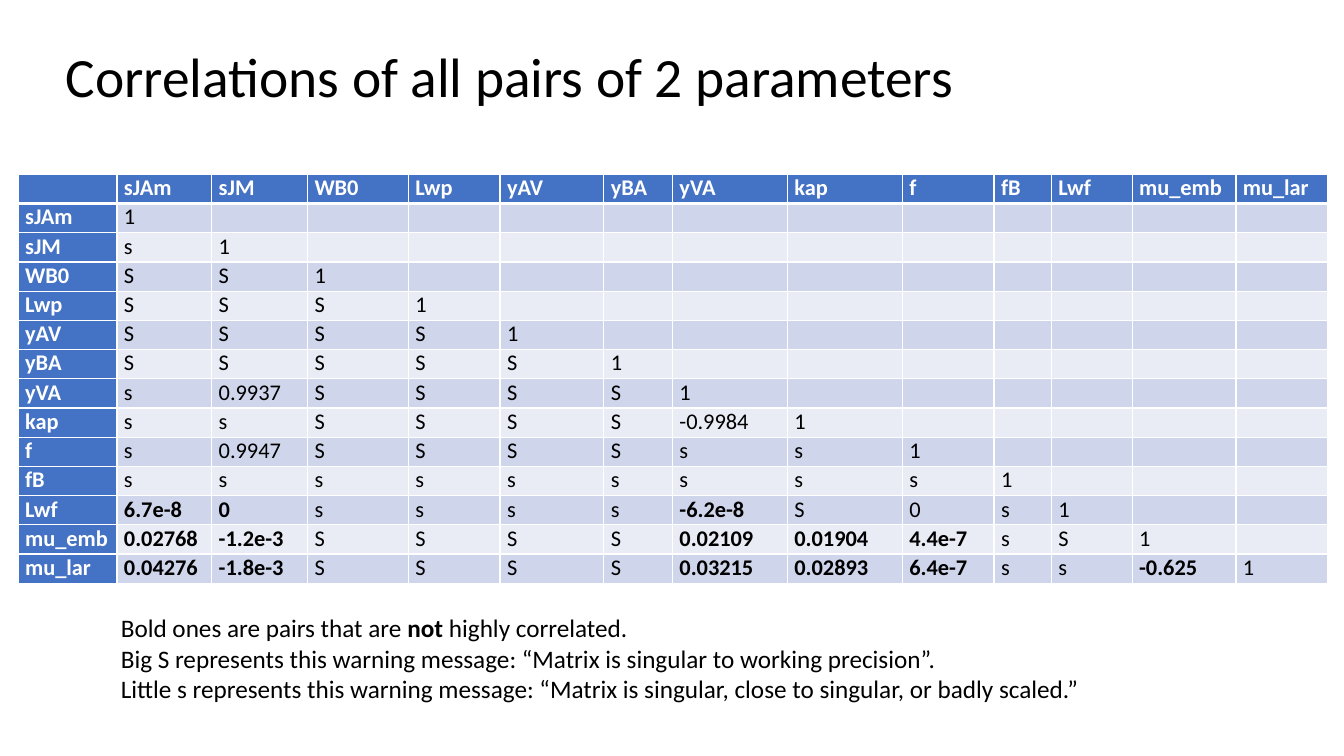
"""Build a slide with the correlation table of all parameter pairs."""
from lxml.etree import SubElement
from pptx import Presentation
from pptx.dml.color import RGBColor
from pptx.enum.text import MSO_ANCHOR, MSO_AUTO_SIZE, PP_ALIGN
from pptx.oxml.ns import qn
from pptx.util import Emu, Pt

EMU_PER_PX = 9144
FONT = "Calibri"
COLORS = {"text": "000000", "light": "FFFFFF", "header": "4472C4",
          "odd": "CFD5EA", "even": "E9EBF5"}
PARAMETERS = ["sJAm", "sJM", "WB0", "Lwp", "yAV", "yBA", "yVA", "kap",
              "f", "fB", "Lwf", "mu_emb", "mu_lar"]
COLUMN_WIDTHS = [98, 94, 95, 100, 91, 103, 68, 114, 114, 91, 57, 80, 103, 91]
ROW_HEIGHT = 29
BOLD_MARK = "*"
CORRELATIONS = [
    "1",
    "s 1",
    "S S 1",
    "S S S 1",
    "S S S S 1",
    "S S S S S 1",
    "s 0.9937 S S S S 1",
    "s s S S S S -0.9984 1",
    "s 0.9947 S S S S s s 1",
    "s s s s s s s s s 1",
    "*6.7e-8 *0 s s s s *-6.2e-8 S 0 s 1",
    "*0.02768 *-1.2e-3 S S S S *0.02109 *0.01904 *4.4e-7 s S 1",
    "*0.04276 *-1.8e-3 S S S S *0.03215 *0.02893 *6.4e-7 s s *-0.625 1",
]
NOTES = [
    [("Bold ones are pairs that are ", False), ("not ", True),
     ("highly correlated.", False)],
    [("Big S represents this warning message: "
      "“Matrix is singular to working precision”.", False)],
    [("Little s represents this warning message: "
      "“Matrix is singular, close to singular, or badly scaled.”", False)],
]


def px(length):
    return Emu(length * EMU_PER_PX)


def set_attributes(target, **values):
    for name, value in values.items():
        setattr(target, name, value)


def place(shape, left, top, width, height):
    set_attributes(shape, left=px(left), top=px(top),
                   width=px(width), height=px(height))


def add_span(para, text, size, color="text", bold=False):
    span = para.add_run()
    span.text = text
    set_attributes(span.font, name=FONT, size=Pt(size), bold=bold)
    span.font.color.rgb = RGBColor.from_string(COLORS[color])


def add_title(page, text):
    title = page.shapes.title
    place(title, 55, 49, 1150, 59)
    set_attributes(title.text_frame, word_wrap=True,
                   auto_size=MSO_AUTO_SIZE.NONE,
                   vertical_anchor=MSO_ANCHOR.MIDDLE)
    para = title.text_frame.paragraphs[0]
    set_attributes(para, alignment=PP_ALIGN.LEFT, line_spacing=0.9)
    add_span(para, text, 39.6)


def add_borders(cell, top, bottom):
    properties = cell._tc.get_or_add_tcPr()
    for side, width in (("L", 1), ("R", 1), ("T", top), ("B", bottom)):
        line = SubElement(properties, qn(f"a:ln{side}"), w=str(Pt(width)))
        fill = SubElement(line, qn("a:solidFill"))
        SubElement(fill, qn("a:srgbClr"), val=COLORS["light"])


def fill_cell(cell, text, fill, color, bold):
    set_attributes(cell, margin_left=px(7), margin_right=px(7),
                   margin_top=0, margin_bottom=0)
    cell.fill.solid()
    cell.fill.fore_color.rgb = RGBColor.from_string(COLORS[fill])
    para = cell.text_frame.paragraphs[0]
    if text:
        add_span(para, text, 16, color, bold)
    else:
        SubElement(para._p, qn("a:endParaRPr"), sz="1600")


def add_correlation_table(page):
    rows = [[""] + PARAMETERS]
    for name, values in zip(PARAMETERS, CORRELATIONS):
        row = [name] + values.split()
        rows.append(row + [""] * (len(COLUMN_WIDTHS) - len(row)))
    frame = page.shapes.add_table(
        len(rows), len(COLUMN_WIDTHS), px(18), px(173),
        px(sum(COLUMN_WIDTHS)), px(ROW_HEIGHT * len(rows)))
    table = frame.table
    table.first_col = True
    for column, width in zip(table.columns, COLUMN_WIDTHS):
        column.width = px(width)
    for row_index, row in enumerate(rows):
        table.rows[row_index].height = px(ROW_HEIGHT)
        for column_index, text in enumerate(row):
            cell = table.cell(row_index, column_index)
            add_borders(cell, top=3 if row_index == 1 else 1,
                        bottom=3 if row_index == 0 else 1)
            if row_index == 0 or column_index == 0:
                fill_cell(cell, text, "header", "light", True)
            else:
                band = "odd" if row_index % 2 else "even"
                fill_cell(cell, text.lstrip(BOLD_MARK), band, "text",
                          text.startswith(BOLD_MARK))


def add_notes(page):
    box = page.shapes.add_textbox(px(110), px(603), px(1095), px(101))
    frame = box.text_frame
    set_attributes(frame, word_wrap=True,
                   auto_size=MSO_AUTO_SIZE.SHAPE_TO_FIT_TEXT)
    for index, spans in enumerate(NOTES):
        para = frame.add_paragraph() if index else frame.paragraphs[0]
        for text, bold in spans:
            add_span(para, text, 18, bold=bold)


def main():
    deck = Presentation()
    set_attributes(deck, slide_width=px(1333), slide_height=px(750))
    page = deck.slides.add_slide(deck.slide_layouts[5])
    add_title(page, "Correlations of all pairs of 2 parameters")
    add_correlation_table(page)
    add_notes(page)
    deck.save("out.pptx")


if __name__ == "__main__":
    main()
